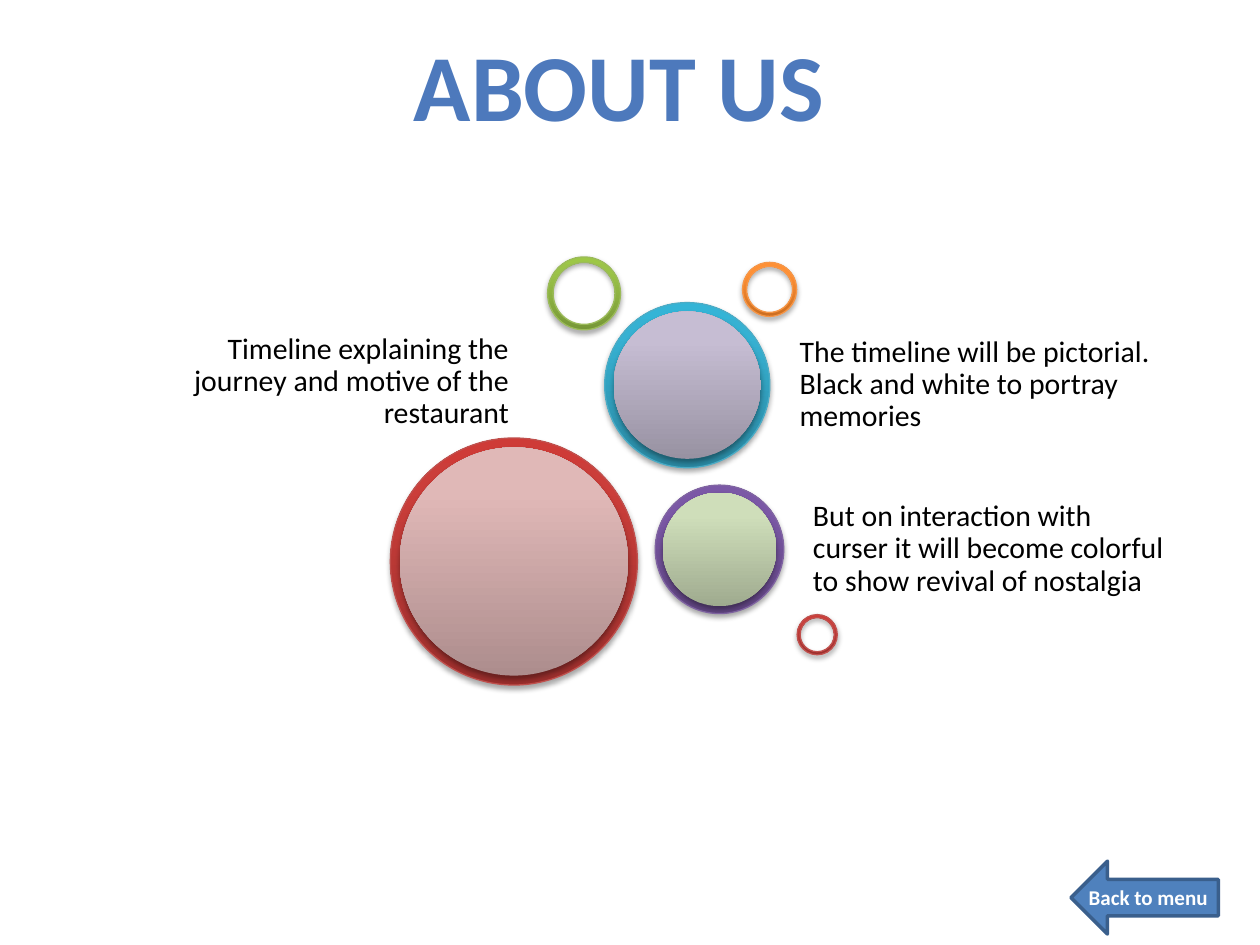
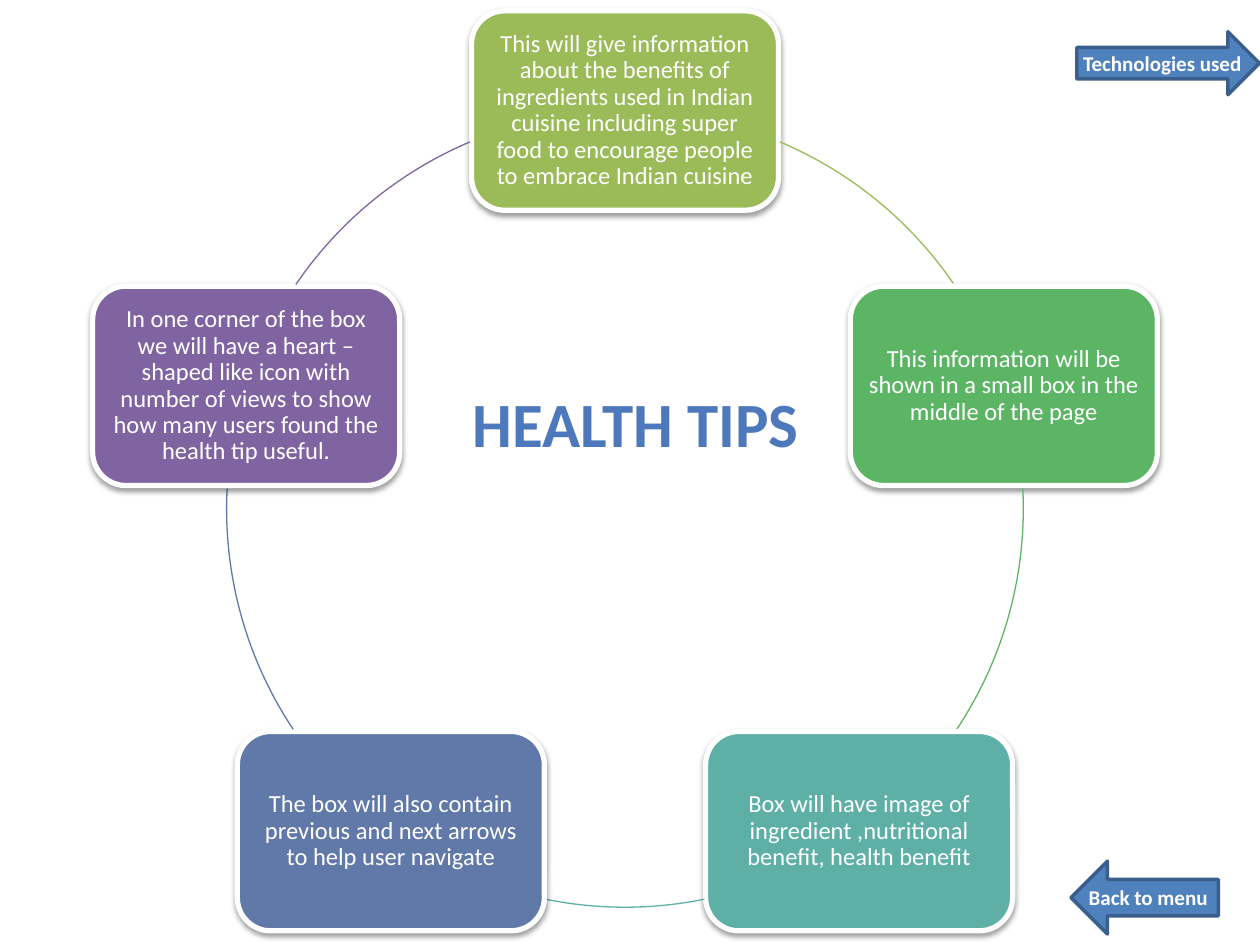
"""Two slides on a restaurant site: an About Us bubble diagram and a Health Tips cycle."""
import math

from lxml import etree
from pptx import Presentation
from pptx.dml.color import RGBColor
from pptx.enum.shapes import MSO_SHAPE
from pptx.enum.text import MSO_ANCHOR, PP_ALIGN
from pptx.oxml.ns import qn
from pptx.util import Cm, Pt

FONT = "Calibri"
COLORS = {
    "text": "000000", "white": "FFFFFF", "arrow": "4F81BD", "arrow_edge": "3A5F8C",
    "red": "C0504D", "green": "9BBB59", "purple": "8064A2", "blue": "4BACC6",
    "orange": "F79646", "leaf": "5CB565", "teal": "5EAFA6", "slate": "6179A8",
}
TITLE_STOPS = [(0, "7494C9"), (49, "4D79BC"), (50, "346AAA"), (92, "325F94"), (100, "315D91")]
GRADIENTS = {
    "red": ("9C2F2D", "CB3E3A", "CE3B37"),
    "green": ("779737", "9BC348", "9DC746"),
    "purple": ("5F4480", "7B58A6", "7C57A8"),
    "blue": ("2A88A2", "37B1D2", "34B4D6"),
    "orange": ("CC6E20", "FF9034", "FF9136"),
    "pale_red": ("AD8D8D", "E0B8B7", "E2B8B7"),
    "pale_green": ("9FAB8F", "CFDEBA", "D0DFBA"),
    "pale_purple": ("9892A2", "C6BDD3", "C6BED4"),
}
DONUTS = [
    (11.04, 5.18, 1.47, "green"),
    (14.97, 5.29, 1.09, "orange"),
    (16.07, 12.39, 0.81, "red"),
]
DISCS = [
    (7.87, 8.83, 4.98, 0.19, "red", "pale_red"),
    (13.21, 9.78, 2.59, 0.15, "purple", "pale_green"),
    (12.19, 6.1, 3.33, 0.18, "blue", "pale_purple"),
]
CAPTIONS = [
    ((2.99, 6.33, 7.32, 2.39), "Timeline explaining the journey and motive of the restaurant",
     PP_ALIGN.RIGHT, MSO_ANCHOR.BOTTOM),
    ((16.34, 9.93, 7.32, 2.29),
     "But on interaction with curser it will become colorful to show revival of nostalgia",
     PP_ALIGN.LEFT, MSO_ANCHOR.MIDDLE),
    ((16.07, 6.28, 7.32, 2.97),
     "The timeline will be pictorial. Black and white to portray memories",
     PP_ALIGN.LEFT, MSO_ANCHOR.MIDDLE),
]
CYCLE_CENTER = (12.6, 10.26)
CYCLE_RADIUS = 8.03
TIPS = [
    ("green", (22.9, 55.7), "This will give information about the benefits of ingredients used in "
     "Indian cuisine including super food to encourage people to embrace Indian cuisine"),
    ("leaf", (87.1, 123.6), "This information will be shown in a small box in the middle of the page"),
    ("teal", (168.5, 191.5), "Box will have image of ingredient ,nutritional benefit, health benefit"),
    ("slate", (236.4, 272.9), "The box will also contain previous and next arrows to help user navigate"),
    ("purple", (304.3, 337.1), "In one corner of the box we will have a heart \u2013shaped like icon "
     "with number of views to show how many users found the health tip useful."),
]


def rgb(name):
    """Return a named colour."""
    return RGBColor.from_string(COLORS[name])


def set_gradient(shape, fill, stops, angle):
    """Give a shape or its text a gradient with any number of stops."""
    fill.gradient()
    gradient = next(shape.element.iter(qn("a:gradFill")))
    stop_list = gradient.find(qn("a:gsLst"))
    for old in list(stop_list):
        stop_list.remove(old)
    for position, color in stops:
        stop = etree.SubElement(stop_list, qn("a:gs"), pos=str(position * 1000))
        etree.SubElement(stop, qn("a:srgbClr"), val=color)
    gradient.find(qn("a:lin")).set("ang", str(angle * 60000))


def add_shadow(shape, opacity, distance):
    """Drop a soft black shadow below a shape."""
    shape.shadow.inherit = False
    effects = shape.element.spPr.find(qn("a:effectLst"))
    shadow = etree.SubElement(effects, qn("a:outerShdw"), blurRad=str(Pt(3.1)),
                              dist=str(Pt(distance)), dir="5400000", rotWithShape="0")
    color = etree.SubElement(shadow, qn("a:srgbClr"), val=COLORS["text"])
    etree.SubElement(color, qn("a:alpha"), val=str(opacity * 1000))


def set_line(shape, color, width):
    """Outline a shape."""
    shape.line.color.rgb = rgb(color)
    shape.line.width = Pt(width)


def write(shape, text, size, color="white", bold=None, align=PP_ALIGN.CENTER,
          anchor=MSO_ANCHOR.MIDDLE, insets=(0, 0, 0), spacing=None, wrap=True):
    """Write one styled paragraph with left, right and vertical insets, and return its run."""
    frame = shape.text_frame
    frame.word_wrap = wrap
    frame.vertical_anchor = anchor
    frame.margin_left, frame.margin_right, frame.margin_top = map(Cm, insets)
    frame.margin_bottom = frame.margin_top
    paragraph = frame.paragraphs[0]
    paragraph.alignment = align
    paragraph.line_spacing = spacing
    run = paragraph.add_run()
    run.text = text
    run.font.name = FONT
    run.font.size = Pt(size)
    run.font.bold = bold
    run.font.color.rgb = rgb(color)
    return run


def add_textbox(slide, box):
    """Add an empty text box."""
    return slide.shapes.add_textbox(*map(Cm, box))


def add_title(slide, text, box, size):
    """Add a bold blue gradient heading."""
    title = add_textbox(slide, box)
    run = write(title, text, size, bold=True, insets=(0.25, 0.25, 0.13),
                anchor=MSO_ANCHOR.TOP, wrap=False)
    set_gradient(title, run.font.fill, TITLE_STOPS, 90)


def add_round(slide, kind, left, top, size, gradient, edge=None):
    """Add a shaded disc or donut."""
    shape = slide.shapes.add_shape(kind, Cm(left), Cm(top), Cm(size), Cm(size))
    set_gradient(shape, shape.fill, list(zip((0, 80, 100), GRADIENTS[gradient])), 270)
    if edge:
        set_line(shape, edge, 0.75)
    else:
        shape.line.fill.background()
    add_shadow(shape, 35, 1.8)
    return shape


def add_nav_arrow(slide, kind, box, text, insets):
    """Add a labelled navigation arrow."""
    arrow = slide.shapes.add_shape(kind, *map(Cm, box))
    arrow.shadow.inherit = False
    arrow.fill.solid()
    arrow.fill.fore_color.rgb = rgb("arrow")
    set_line(arrow, "arrow_edge", 2)
    write(arrow, text, 12, bold=True, insets=insets, wrap=False)


def add_back_arrow(slide):
    """Add the arrow that every slide has at the bottom right."""
    add_nav_arrow(slide, MSO_SHAPE.LEFT_ARROW, (21.59, 17.36, 2.97, 1.47), "Back to menu",
                  (0, 0.22, 0))


def add_tip(slide, degrees, color, text):
    """Add a rounded box centred on the cycle, clockwise from the top."""
    width, height = 6.19, 4.02
    angle = math.radians(degrees)
    x = CYCLE_CENTER[0] + CYCLE_RADIUS * math.sin(angle)
    y = CYCLE_CENTER[1] - CYCLE_RADIUS * math.cos(angle)
    box = slide.shapes.add_shape(MSO_SHAPE.ROUNDED_RECTANGLE, Cm(x - width / 2),
                                 Cm(y - height / 2), Cm(width), Cm(height))
    box.fill.solid()
    box.fill.fore_color.rgb = rgb(color)
    set_line(box, "white", 3)
    add_shadow(box, 38, 1.6)
    write(box, text, 14, insets=(0.15, 0.15, 0.15), spacing=0.9)


def add_arc(slide, angles, color):
    """Draw part of the cycle between two angles, clockwise from the top."""
    left, top = (center - CYCLE_RADIUS for center in CYCLE_CENTER)
    side = 2 * CYCLE_RADIUS
    arc = slide.shapes.add_shape(MSO_SHAPE.ARC, *map(Cm, (left, top, side, side)))
    for index, degrees in enumerate(angles):
        arc.adjustments[index] = (degrees - 90) % 360 * 0.6
    arc.shadow.inherit = False
    arc.fill.background()
    set_line(arc, color, 0.75)


def build_about(slide):
    """Build the About Us slide."""
    for left, top, size, color in DONUTS:
        donut = add_round(slide, MSO_SHAPE.DONUT, left, top, size, color, color)
        donut.adjustments[0] = 0.075
    for left, top, size, rim, color, inner in DISCS:
        add_round(slide, MSO_SHAPE.OVAL, left, top, size, color, color)
        add_round(slide, MSO_SHAPE.OVAL, left + rim, top + rim, size - 2 * rim, inner)
    for box, text, align, anchor in CAPTIONS:
        write(add_textbox(slide, box), text, 17, "text", align=align, anchor=anchor,
              insets=(0.05, 0.05, 0.05), spacing=0.9)
    add_title(slide, "ABOUT US", (8.05, 0.42, 8.86, 2.57), 54)
    add_back_arrow(slide)


def build_tips(slide):
    """Build the Health Tips slide."""
    for index, (color, angles, text) in enumerate(TIPS):
        add_tip(slide, index * 360 / len(TIPS), color, text)
        add_arc(slide, angles, color)
    add_title(slide, "HEALTH TIPS", (8.05, 7.62, 9.53, 1.8), 36)
    add_back_arrow(slide)
    add_nav_arrow(slide, MSO_SHAPE.RIGHT_ARROW, (21.71, 0.64, 3.68, 1.27), "Technologies used",
                  (0.08, 0, 0))


def main():
    """Build and save the presentation."""
    deck = Presentation()
    deck.slide_width, deck.slide_height = Cm(25.4), Cm(19.05)
    for build in (build_about, build_tips):
        build(deck.slides.add_slide(deck.slide_layouts[6]))
    deck.save("out.pptx")


main()
